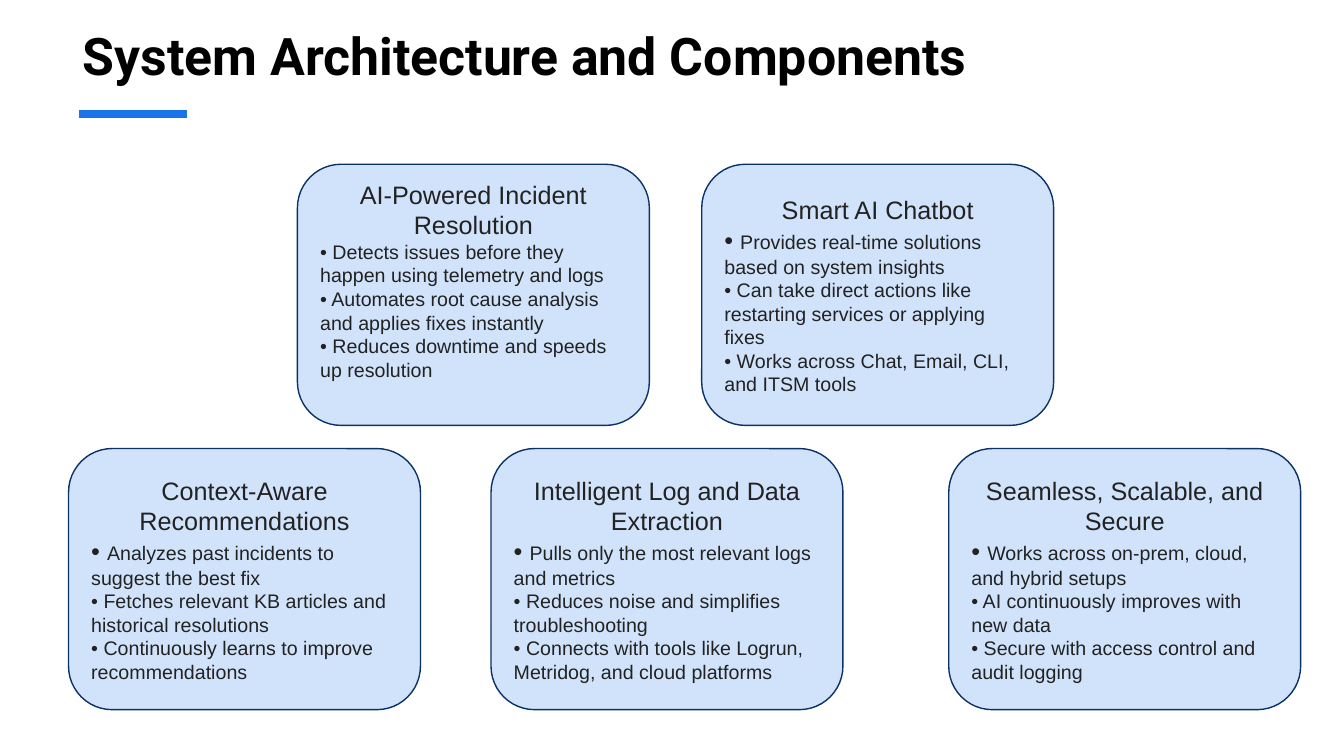
"""Build the system architecture slide with five component cards."""
import dataclasses

import lxml.etree
import pptx
import pptx.dml.color
import pptx.enum.shapes
import pptx.enum.text
import pptx.oxml.ns
import pptx.util

Inches = pptx.util.Inches
Pt = pptx.util.Pt
ALIGN = pptx.enum.text.PP_ALIGN
ANCHOR = pptx.enum.text.MSO_ANCHOR

COLORS = {
    "title": "000000",
    "accent": "1973EB",
    "card": "D1E3FB",
    "border": "0B3267",
    "text": "222222",
}
CARD_W, CARD_H = 3.49, 2.59
TOP_ROW, BOTTOM_ROW = 1.63, 4.45
HEAD_SIZE, ITEM_SIZE = 18, 14


@dataclasses.dataclass
class Card:
    x: float
    y: float
    head: str
    items: tuple[str, ...]
    first_bullet: int = HEAD_SIZE
    bottom_inset: float = 0.05


CARDS = (
    Card(2.95, TOP_ROW, "AI-Powered Incident Resolution", (
        "Detects issues before they happen using telemetry and logs",
        "Automates root cause analysis and applies fixes instantly",
        "Reduces downtime and speeds up resolution",
    ), first_bullet=ITEM_SIZE, bottom_inset=0.34),
    Card(6.96, TOP_ROW, "Smart AI Chatbot", (
        "Provides real-time solutions based on system insights",
        "Can take direct actions like restarting services or applying fixes",
        "Works across Chat, Email, CLI, and ITSM tools",
    )),
    Card(0.68, BOTTOM_ROW, "Context-Aware Recommendations", (
        "Analyzes past incidents to suggest the best fix",
        "Fetches relevant KB articles and historical resolutions",
        "Continuously learns to improve recommendations",
    )),
    Card(4.87, BOTTOM_ROW, "Intelligent Log and Data Extraction", (
        "Pulls only the most relevant logs and metrics",
        "Reduces noise and simplifies troubleshooting",
        "Connects with tools like Logrun, Metridog, and cloud platforms",
    )),
    Card(9.41, BOTTOM_ROW, "Seamless, Scalable, and Secure", (
        "Works across on-prem, cloud, and hybrid setups",
        "AI continuously improves with new data",
        "Secure with access control and audit logging",
    )),
)


def rgb(name: str) -> pptx.dml.color.RGBColor:
    """Return a named palette colour."""
    return pptx.dml.color.RGBColor.from_string(COLORS[name])


def add_text(p, text: str, *, size: int, color: str = "text", font: str = "Arial",
             bold: bool = False, align=ALIGN.LEFT) -> None:
    """Append a formatted run to a paragraph."""
    p.alignment = align
    r = p.add_run()
    r.text = text
    r.font.size = Pt(size)
    r.font.name = font
    r.font.bold = bold
    r.font.color.rgb = rgb(color)


def add_title(s, text: str) -> None:
    """Fill and place the title, with the accent line below it."""
    sp = s.shapes.title
    sp.left, sp.top = Inches(0.72), Inches(0.19)
    sp.width, sp.height = Inches(11.91), Inches(1.2)
    tf = sp.text_frame
    tf.auto_size = pptx.enum.text.MSO_AUTO_SIZE.NONE
    tf.vertical_anchor = ANCHOR.TOP
    add_text(tf.paragraphs[0], text, size=37, color="title", font="Roboto", bold=True)

    accent = s.shapes.add_connector(
        pptx.enum.shapes.MSO_CONNECTOR.STRAIGHT,
        Inches(0.78), Inches(1.13), Inches(1.85), Inches(1.13))
    accent.line.color.rgb = rgb("accent")
    accent.line.width = Pt(6)
    lxml.etree.SubElement(accent._element.spPr, pptx.oxml.ns.qn("a:effectLst"))


def add_card(s, card: Card) -> None:
    """Draw one rounded card with its heading and bullet lines."""
    sp = s.shapes.add_shape(
        pptx.enum.shapes.MSO_SHAPE.ROUNDED_RECTANGLE,
        Inches(card.x), Inches(card.y), Inches(CARD_W), Inches(CARD_H))
    sp.shadow.inherit = False
    sp.fill.solid()
    sp.fill.fore_color.rgb = rgb("card")
    sp.line.color.rgb = rgb("border")
    sp.line.width = Pt(1)
    tf = sp.text_frame
    tf.word_wrap = True
    tf.vertical_anchor = ANCHOR.MIDDLE
    tf.margin_bottom = Inches(card.bottom_inset)
    add_text(tf.paragraphs[0], card.head, size=HEAD_SIZE, align=ALIGN.CENTER)
    for i, item in enumerate(card.items):
        p = tf.add_paragraph()
        add_text(p, "• ", size=ITEM_SIZE if i else card.first_bullet)
        add_text(p, item, size=ITEM_SIZE)


def main() -> None:
    """Assemble and save the slide."""
    prs = pptx.Presentation()
    prs.slide_width, prs.slide_height = Inches(13.33), Inches(7.5)
    s = prs.slides.add_slide(prs.slide_layouts[5])
    add_title(s, "System Architecture and Components")
    for card in CARDS:
        add_card(s, card)
    prs.save("out.pptx")


if __name__ == "__main__":
    main()
